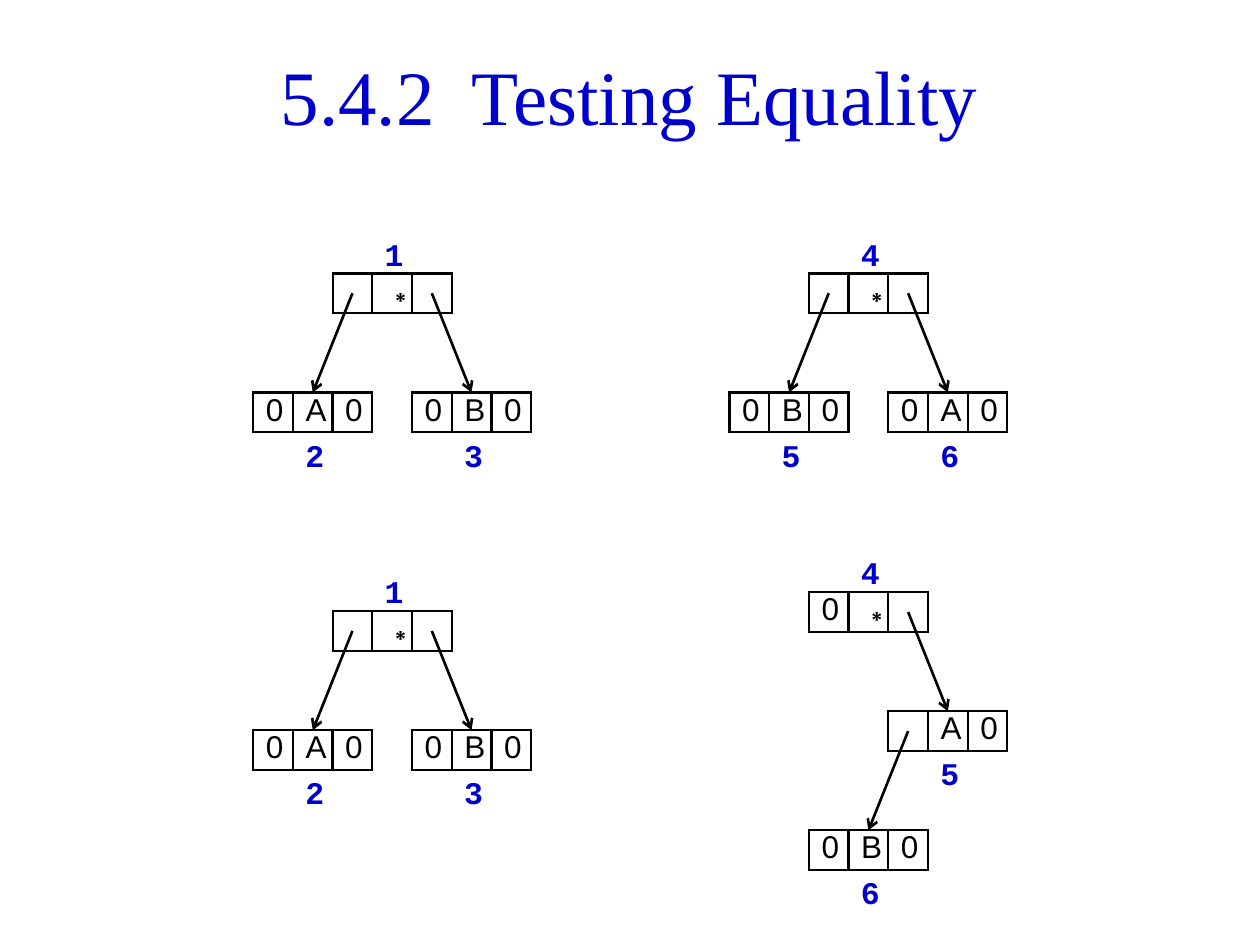
from collections import namedtuple

from lxml import etree
from pptx import Presentation
from pptx.dml.color import RGBColor
from pptx.enum.shapes import MSO_CONNECTOR, MSO_SHAPE
from pptx.enum.text import MSO_ANCHOR, PP_ALIGN
from pptx.oxml.ns import qn
from pptx.util import Inches, Pt

STRAIGHT = MSO_CONNECTOR.STRAIGHT
RECTANGLE = MSO_SHAPE.RECTANGLE
MIDDLE, TOP = MSO_ANCHOR.MIDDLE, MSO_ANCHOR.TOP
LEFT, CENTER = PP_ALIGN.LEFT, PP_ALIGN.CENTER

BLUE, BLACK, WHITE = "0000CC", "000000", "FFFFFF"
CELL = 0.63 / 2
LEVEL = 3 * CELL
LINE_WIDTH = Pt(1.5)
OPERATOR = "\u2217"

Node = namedtuple("Node", "label value left right", defaults=(None, None))


def color(code):
    """Turn a hex string into a colour."""
    return RGBColor.from_string(code)


def style_font(font, name, size, code, bold=False):
    """Set the look of a font."""
    font.name, font.size, font.bold = name, Pt(size), bold
    font.color.rgb = color(code)


def set_margins(holder, top=0):
    """Set the insets of a text frame or a table cell."""
    holder.margin_left = holder.margin_right = Inches(0.1)
    holder.margin_top, holder.margin_bottom = Inches(top), 0


def add_title(page, text, left, top, width, height):
    """Place the slide heading, centred in its box."""
    box = page.shapes.add_textbox(Inches(left), Inches(top), Inches(width), Inches(height))
    frame = box.text_frame
    frame.word_wrap = True
    frame.vertical_anchor = MIDDLE
    frame.text = text
    para = frame.paragraphs[0]
    para.alignment = CENTER
    style_font(para.runs[0].font, "Times New Roman", 44, BLUE)


def add_label(page, text, left, top, inset):
    """Place a node number in a plain white square."""
    box = page.shapes.add_shape(RECTANGLE, Inches(left), Inches(top), Inches(CELL), Inches(CELL))
    box.shadow.inherit = False
    box.fill.solid()
    box.fill.fore_color.rgb = color(WHITE)
    box.line.fill.background()
    frame = box.text_frame
    frame.word_wrap = True
    frame.vertical_anchor = MIDDLE
    set_margins(frame, inset)
    frame.text = text
    para = frame.paragraphs[0]
    para.alignment = LEFT
    style_font(para.runs[0].font, "Courier New", 18, BLUE, True)


def add_borders(cell):
    """Draw a black line on the four sides of a cell."""
    properties = cell._tc.get_or_add_tcPr()
    for index, side in enumerate(("lnL", "lnR", "lnT", "lnB")):
        line = etree.Element(qn("a:" + side), w=str(int(LINE_WIDTH)))
        fill = etree.SubElement(line, qn("a:solidFill"))
        etree.SubElement(fill, qn("a:srgbClr"), val=BLACK)
        properties.insert(index, line)


def add_record(page, values, left, top):
    """Place a row of three cells holding left link, value and right link."""
    frame = page.shapes.add_table(1, 3, Inches(left), Inches(top), Inches(3 * CELL), Inches(CELL))
    table = frame.table
    table.first_row = table.horz_banding = False
    table.rows[0].height = Inches(CELL)
    for index, value in enumerate(values):
        table.columns[index].width = Inches(CELL)
        cell = table.cell(0, index)
        cell.fill.background()
        add_borders(cell)
        cell.vertical_anchor = TOP
        set_margins(cell, 0.02 if value == OPERATOR else 0)
        para = cell.text_frame.paragraphs[0]
        para.text = value
        para.alignment = CENTER
        if value == OPERATOR:
            para.line_spacing = Pt(21)
        style_font(para.font, "Arial", 18, BLACK)
        for span in para.runs:
            style_font(span.font, "Arial", 18, BLACK)


def add_arrow(page, start, end):
    """Draw an open arrow from start to end."""
    arrow = page.shapes.add_connector(STRAIGHT, *(Inches(value) for value in start + end))
    arrow.line.width = LINE_WIDTH
    arrow.line.color.rgb = color(BLACK)
    etree.SubElement(arrow.line._get_or_add_ln(), qn("a:tailEnd"), type="arrow")
    etree.SubElement(arrow._element.spPr, qn("a:effectLst"))


def add_tree(page, node, left, top, root=True):
    """Place a node at left and top, and its children one level below."""
    if root:
        add_label(page, node.label, left + CELL, top - CELL, 0)
    else:
        add_label(page, node.label, left + CELL, top + CELL, 0.04)
    links = ["" if child else "0" for child in (node.left, node.right)]
    add_record(page, (links[0], node.value, links[1]), left, top)
    for child, column, shift in ((node.left, 0, -2), (node.right, 2, 2)):
        if child:
            child_left, child_top = left + shift * CELL, top + LEVEL
            add_tree(page, child, child_left, child_top, False)
            add_arrow(page, (left + (column + 0.5) * CELL, top + CELL / 2),
                      (child_left + 1.5 * CELL, child_top))


def main():
    """Build the slide with its four trees."""
    deck = Presentation()
    deck.slide_width, deck.slide_height = Inches(10), Inches(7.5)
    page = deck.slides.add_slide(deck.slide_layouts[6])
    add_title(page, "5.4.2  Testing Equality", 0.27, 0.28, 9.45, 0.94)

    ordered = Node("1", OPERATOR, Node("2", "A"), Node("3", "B"))
    swapped = Node("4", OPERATOR, Node("5", "B"), Node("6", "A"))
    chained = Node("4", OPERATOR, None, Node("5", "A", Node("6", "B")))
    for tree, left, top in ((ordered, 2.64, 2.17), (swapped, 6.42, 2.17),
                            (ordered, 2.64, 4.85), (chained, 6.42, 4.7)):
        add_tree(page, tree, left, top)
    deck.save("out.pptx")


main()
